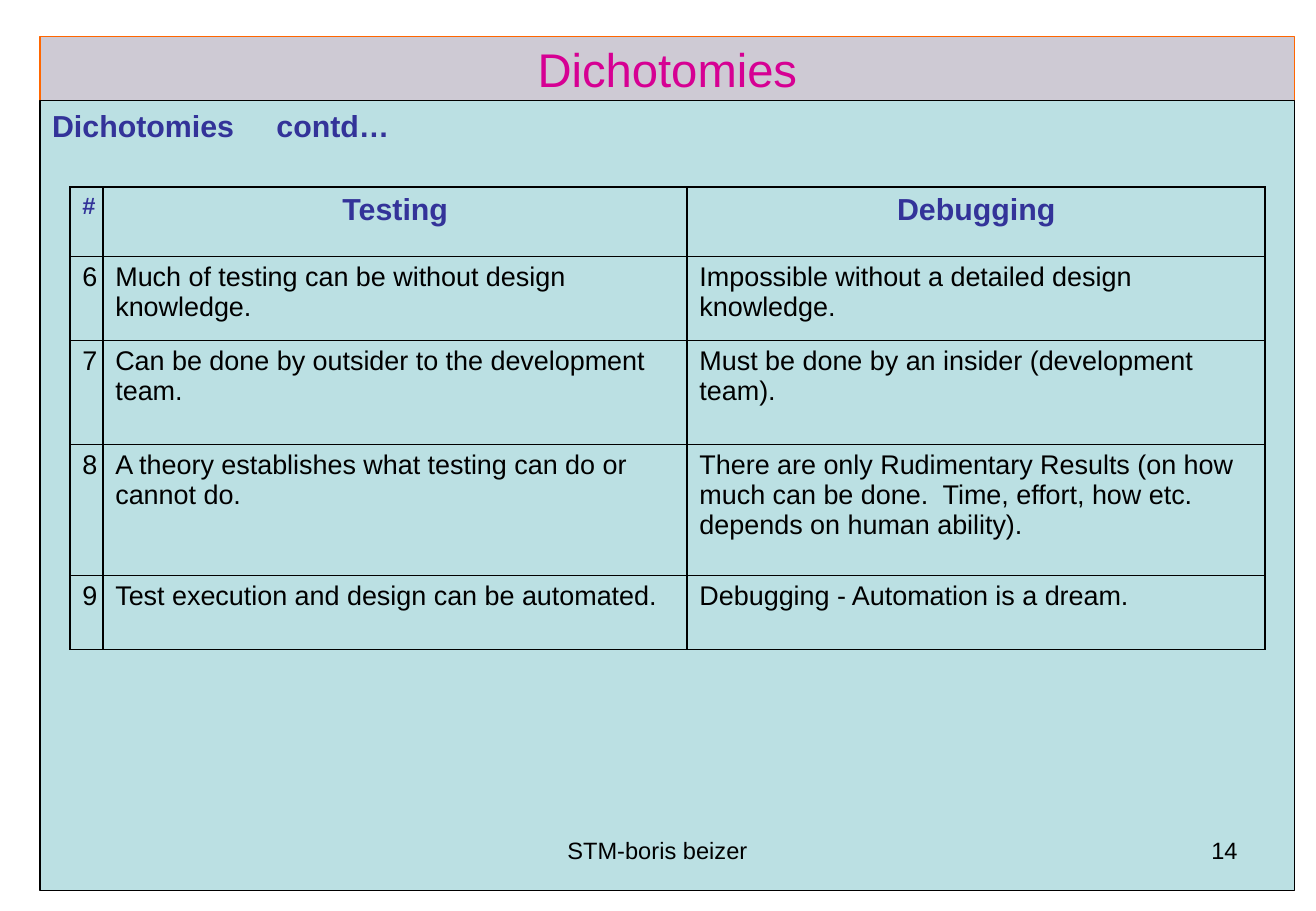
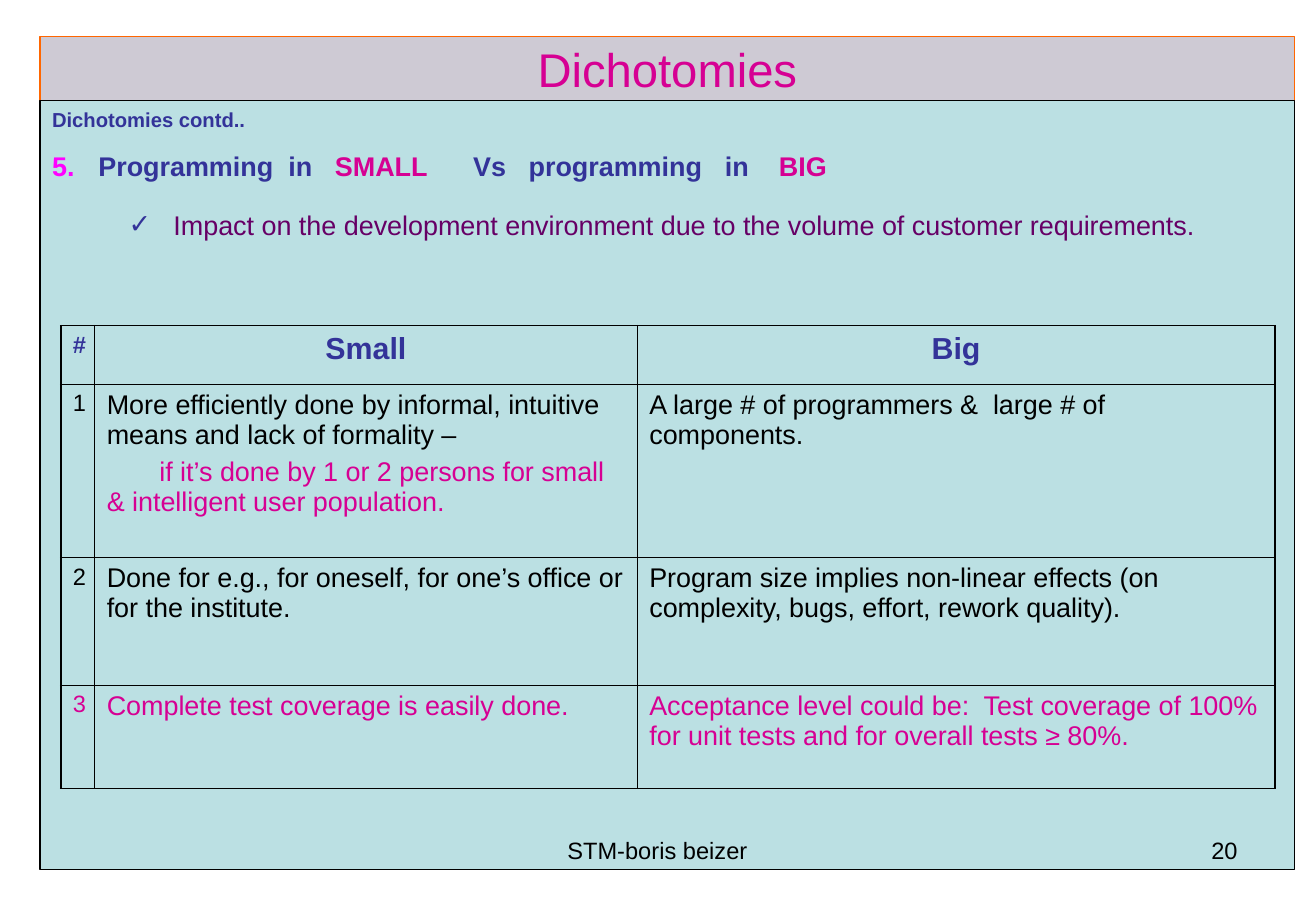
from dataclasses import dataclass

from lxml import etree
from pptx import Presentation
from pptx.dml.color import RGBColor
from pptx.enum.shapes import MSO_SHAPE
from pptx.enum.text import MSO_ANCHOR, PP_ALIGN
from pptx.oxml.ns import qn
from pptx.util import Cm, Pt

RECTANGLE = MSO_SHAPE.RECTANGLE
TOP, MIDDLE = MSO_ANCHOR.TOP, MSO_ANCHOR.MIDDLE
LEFT, CENTER, RIGHT = PP_ALIGN.LEFT, PP_ALIGN.CENTER, PP_ALIGN.RIGHT

FONT = "Arial"
BLACK, NAVY, PINK = "000000", "333399", "D60093"
MAGENTA, PURPLE = "FF00FF", "660066"
BAND_FILL, BAND_LINE, PANEL_FILL = "CECAD4", "FF6600", "BBE0E3"
FRAME_WIDTH, THIN, OUTER, THICK = 0.74, 0.45, 1.08, 1.47
FRAME_LEFT, FRAME_SPAN = 0.84, 26.24
BAND_TOP, BAND_HEIGHT = 0.76, 1.35
PANEL_TOP = BAND_TOP + BAND_HEIGHT
FOOTER_TOP, FOOTER_HEIGHT = 17.35, 1.32


@dataclass
class Area:
    left: float
    top: float
    width: float
    height: float

    def lengths(self) -> tuple:
        return Cm(self.left), Cm(self.top), Cm(self.width), Cm(self.height)


@dataclass
class Span:
    text: str
    color: str = NAVY
    gap: float = 0  # points of extra room in the space that follows


@dataclass
class Bullet:
    tag: str
    attributes: dict
    color: str


@dataclass
class Para:
    spans: list[Span]
    size: float = 16
    bold: bool = False
    align: PP_ALIGN = LEFT
    before: float = 0
    margin: float = 0
    indent: float = 0
    bullet: Bullet | None = None


@dataclass
class Grid:
    left: float
    top: float
    columns: list[float]
    rows: list[float]
    cells: list[list[list[Para]]]
    column_line: float
    header_line: float


@dataclass
class Page:
    number: int
    panel_height: float
    heading_height: float
    heading: list[Para]
    grid: Grid


def rgb(color: str) -> RGBColor:
    return RGBColor.from_string(color)


def add_color(parent, tag: str, color: str) -> None:
    holder = etree.SubElement(parent, qn(tag))
    etree.SubElement(holder, qn("a:srgbClr"), val=color)


# Text
def write_para(paragraph, para: Para) -> None:
    paragraph.alignment = para.align
    paragraph.space_before = Pt(para.before)
    font = paragraph.font
    font.name, font.size, font.bold = FONT, Pt(para.size), para.bold
    font.color.rgb = rgb(para.spans[0].color)
    several_colors = len({span.color for span in para.spans}) > 1
    for span in para.spans:
        run = paragraph.add_run()
        run.text = span.text
        if several_colors:
            run.font.color.rgb = rgb(span.color)
        if span.gap:
            space = paragraph.add_run()
            space.text = " "
            space.font._element.set("spc", str(round(span.gap * 100)))

    properties = paragraph._p.get_or_add_pPr()
    properties.set("marL", str(Cm(para.margin)))
    properties.set("indent", str(Cm(para.indent)))
    if para.bullet:
        marks = etree.Element("marks")
        add_color(marks, "a:buClr", para.bullet.color)
        etree.SubElement(marks, qn("a:buFont"), typeface=FONT)
        etree.SubElement(marks, qn(para.bullet.tag), para.bullet.attributes)
        defaults = properties.find(qn("a:defRPr"))
        for mark in list(marks):
            defaults.addprevious(mark)


def write_frame(frame, paras: list[Para], anchor: MSO_ANCHOR = TOP) -> None:
    frame.word_wrap = True
    frame.vertical_anchor = anchor
    for index, para in enumerate(paras):
        paragraph = frame.add_paragraph() if index else frame.paragraphs[0]
        write_para(paragraph, para)


def add_text(page, area: Area, paras: list[Para]) -> None:
    write_frame(page.shapes.add_textbox(*area.lengths()).text_frame, paras)


def add_box(page, area: Area, fill: str, line: str):
    box = page.shapes.add_shape(RECTANGLE, *area.lengths())
    box.shadow.inherit = False
    box.fill.solid()
    box.fill.fore_color.rgb = rgb(fill)
    box.line.color.rgb = rgb(line)
    box.line.width = Pt(FRAME_WIDTH)
    return box


# Table
def set_borders(cell, widths: dict[str, float]) -> None:
    properties = cell._tc.get_or_add_tcPr()
    for side in "LRTB":
        line = etree.SubElement(properties, qn(f"a:ln{side}"), w=str(Pt(widths[side])))
        add_color(line, "a:solidFill", BLACK)


def add_grid(page, grid: Grid) -> None:
    area = Area(grid.left, grid.top, sum(grid.columns), sum(grid.rows))
    last_row, last_column = len(grid.rows) - 1, len(grid.columns) - 1
    table = page.shapes.add_table(last_row + 1, last_column + 1, *area.lengths()).table
    table.first_row = table.horz_banding = False
    for column, width in zip(table.columns, grid.columns):
        column.width = Cm(width)
    for row, height in zip(table.rows, grid.rows):
        row.height = Cm(height)

    row_lines = [OUTER, grid.header_line] + [THIN] * (last_row - 1) + [OUTER]
    column_lines = [OUTER] + [grid.column_line] * last_column + [OUTER]
    for i, row_cells in enumerate(grid.cells):
        for j, paras in enumerate(row_cells):
            cell = table.cell(i, j)
            set_borders(cell, {"L": column_lines[j], "R": column_lines[j + 1],
                               "T": row_lines[i], "B": row_lines[i + 1]})
            cell.fill.background()
            write_frame(cell.text_frame, paras)


def cell_para(text: str, color: str = BLACK, size: float = 16, indent: float = 0) -> Para:
    return Para([Span(text, color)], size, before=size / 4, indent=indent)


def header_row(*names: str) -> list[list[Para]]:
    sizes = [14] + [18] * (len(names) - 1)
    return [[Para([Span(name)], size, True, CENTER, size / 4)]
            for name, size in zip(names, sizes)]


def body_row(number: int, left: str, right: str, color: str = BLACK,
             number_size: float = 16) -> list[list[Para]]:
    return [[cell_para(str(number), color, number_size)],
            [cell_para(left, color)], [cell_para(right, color)]]


# Parts shared by all pages
def draw_page(deck, content: Page) -> None:
    page = deck.slides.add_slide(deck.slide_layouts[6])
    band = add_box(page, Area(FRAME_LEFT, BAND_TOP, FRAME_SPAN, BAND_HEIGHT),
                   BAND_FILL, BAND_LINE)
    write_frame(band.text_frame, [Para([Span("Dichotomies", PINK)], 28, align=CENTER)], MIDDLE)
    add_box(page, Area(FRAME_LEFT, PANEL_TOP, FRAME_SPAN, content.panel_height),
            PANEL_FILL, BLACK)
    add_text(page, Area(FRAME_LEFT, PANEL_TOP, FRAME_SPAN, content.heading_height),
             content.heading)
    add_grid(page, content.grid)
    add_text(page, Area(9.4, FOOTER_TOP, 8.71, FOOTER_HEIGHT),
             [Para([Span("STM-boris beizer", BLACK)], 14, align=CENTER)])
    add_text(page, Area(19.71, FOOTER_TOP, 6.43, FOOTER_HEIGHT),
             [Para([Span(str(content.number), BLACK)], 14, align=RIGHT)])


# Testing against debugging
debugging_page = Page(
    14, 16.51, 1.02,
    [Para([Span("Dichotomies", gap=20), Span("contd…")], 18, True)],
    Grid(1.47, 3.91, [0.69, 12.22, 12.09], [1.45, 1.75, 2.18, 2.74, 1.55], [
        header_row("#", "Testing", "Debugging"),
        body_row(6, "Much of testing can be without design knowledge.",
                 "Impossible without a detailed design knowledge."),
        body_row(7, "Can be done by outsider to the development team.",
                 "Must be done by an insider (development team)."),
        body_row(8, "A theory establishes what testing can do or cannot do.",
                 "There are only Rudimentary Results (on how much can be done.  "
                 "Time, effort, how etc. depends on human ability)."),
        body_row(9, "Test execution and design can be automated.",
                 "Debugging - Automation is a dream."),
    ], THICK, OUTER))

# Programming in small against big
first_row = body_row(1, "More efficiently done by informal, intuitive means and lack of formality –",
                     "A large # of programmers &  large # of components.", number_size=14)
first_row[1].append(cell_para(
    "if it’s done by 1 or 2 persons for small & intelligent user population.",
    PINK, indent=1.1))

size_page = Page(
    20, 16.08, 4.32,
    [Para([Span("Dichotomies contd..")], 12, True),
     Para([Span("Programming", gap=4.5), Span("in", gap=9), Span("SMALL", PINK, 22.5),
           Span("Vs", gap=9), Span("programming", gap=9), Span("in", gap=13.5),
           Span("BIG", PINK)],
          bold=True, before=11, margin=0.97, indent=-0.97,
          bullet=Bullet("a:buAutoNum", {"type": "arabicPeriod", "startAt": "5"}, MAGENTA)),
     Para([Span("Impact on the development environment due to the volume of "
                "customer requirements.", PURPLE)],
          before=15.5, margin=2.54, indent=-0.94,
          bullet=Bullet("a:buChar", {"char": "✓"}, NAVY))],
    Grid(1.27, 6.81, [0.71, 11.35, 13.34], [1.22, 3.63, 2.67, 2.16], [
        header_row("#", "Small", "Big"),
        first_row,
        body_row(2, "Done for e.g., for oneself, for one’s office or for the institute.",
                 "Program size implies non-linear effects (on complexity, bugs, "
                 "effort, rework quality).", number_size=14),
        body_row(3, "Complete test coverage is easily done.",
                 "Acceptance level could be:  Test coverage of 100% for unit tests "
                 "and for overall tests ≥ 80%.", PINK, 14),
    ], THIN, THIN))

deck = Presentation()
deck.slide_width, deck.slide_height = Cm(27.53), Cm(19.05)
for content in (debugging_page, size_page):
    draw_page(deck, content)
deck.save("out.pptx")
